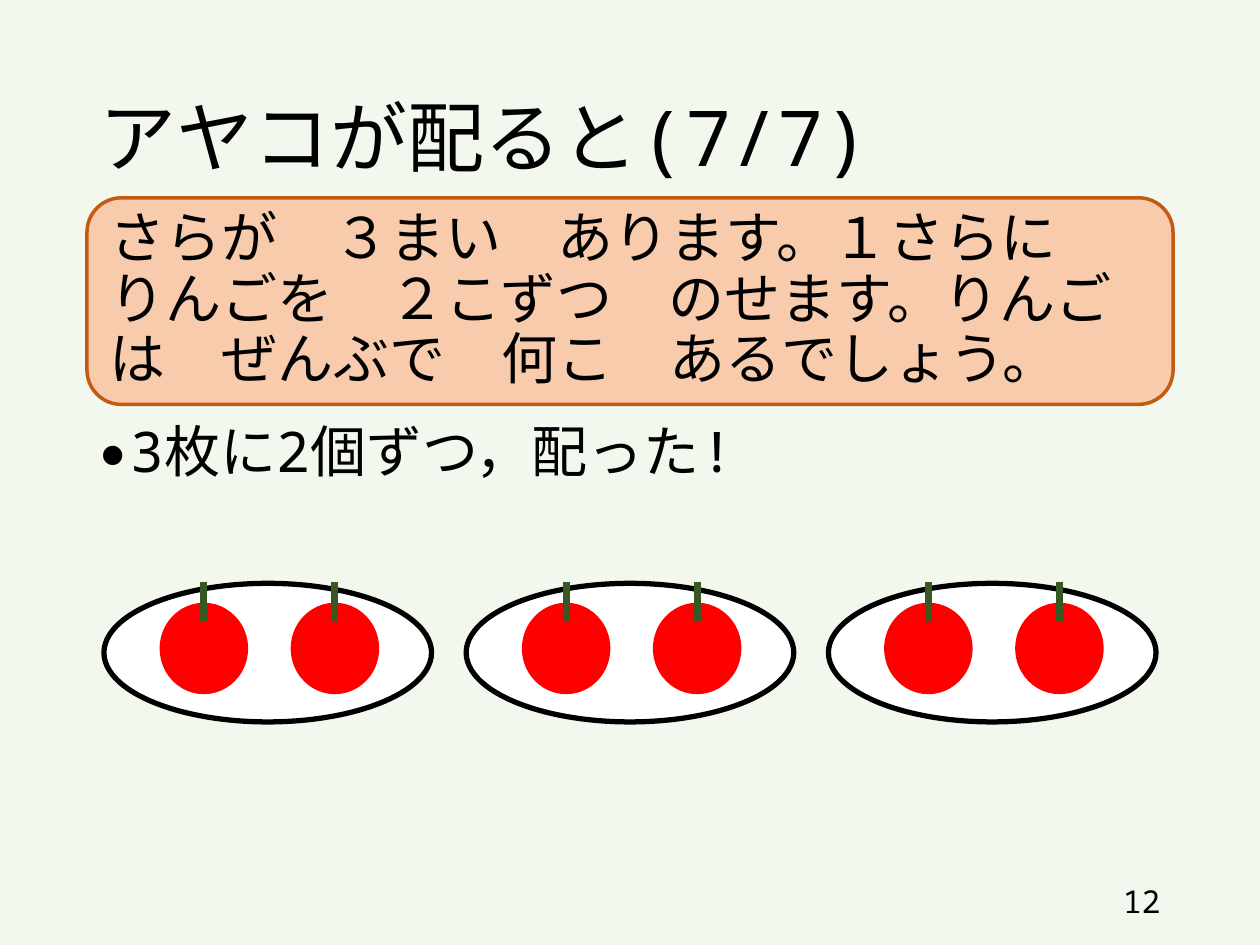
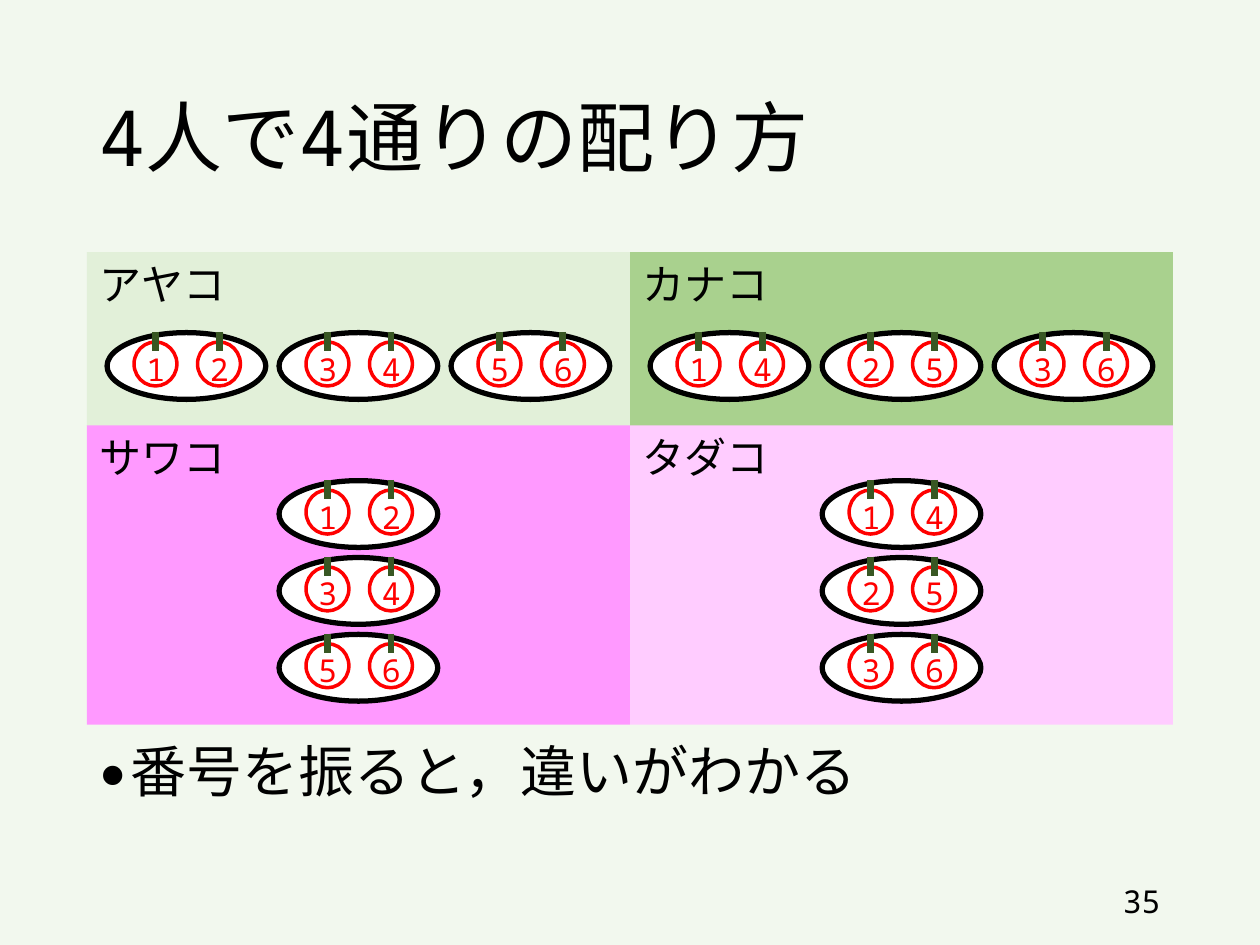
from dataclasses import dataclass

from lxml.etree import SubElement
from pptx import Presentation
from pptx.dml.color import RGBColor
from pptx.enum.shapes import MSO_CONNECTOR, MSO_SHAPE
from pptx.enum.text import MSO_ANCHOR, MSO_AUTO_SIZE, PP_ALIGN
from pptx.oxml.ns import qn
from pptx.util import Inches, Pt


@dataclass(frozen=True)
class Theme:
    font: str = "Noto Sans Mono"
    background: str = "F2F8EE"
    ink: str = "000000"
    plate: str = "FFFFFF"
    apple: str = "FF0000"
    stem: str = "385723"
    problem_fill: str = "F8CBAD"
    problem_line: str = "C55A11"
    title: int = 44
    body: int = 32
    name: int = 24
    small: int = 18


@dataclass(frozen=True)
class Box:
    """A rectangle on a grid of 100 columns by 75 rows of square cells."""
    x: float
    y: float
    w: float
    h: float

    def inner(self, x, y, w, h):
        """Sub-box given as shares of this box."""
        return Box(self.x + x * self.w, self.y + y * self.h,
                   w * self.w, h * self.h)

    def emu(self):
        return [Inches(v / 10) for v in (self.x, self.y, self.w, self.h)]


THEME = Theme()
PAGE = Box(0, 0, 100, 75)
MARGIN = 6.9
CONTENT_W = PAGE.w - 2 * MARGIN
PLATES = 3
APPLES_PER_PLATE = 2


def band(top, height):
    """Full-width region between the side margins."""
    return Box(MARGIN, top, CONTENT_W, height)


def write(tf, text, size, color=THEME.ink, align=PP_ALIGN.LEFT,
          anchor=MSO_ANCHOR.TOP, wrap=True, spacing=None, before=0):
    tf.text = text
    tf.word_wrap = wrap
    tf.auto_size = MSO_AUTO_SIZE.NONE if wrap else MSO_AUTO_SIZE.SHAPE_TO_FIT_TEXT
    tf.vertical_anchor = anchor
    p = tf.paragraphs[0]
    p.alignment = align
    p.space_before = Pt(before)
    if spacing:
        p.line_spacing = spacing
    r = p.runs[0]
    r.font.size = Pt(size)
    r.font.color.rgb = RGBColor.from_string(color)
    r.font.name = THEME.font
    SubElement(r._r.get_or_add_rPr(), qn("a:ea"), typeface=THEME.font)
    return p


def add_text(shapes, box, text, size, **style):
    tb = shapes.add_textbox(*box.emu())
    return write(tb.text_frame, text, size, **style)


def add_preset(shapes, kind, box, fill=None, line=None, width=0):
    sp = shapes.add_shape(kind, *box.emu())
    sp.shadow.inherit = False
    if fill:
        sp.fill.solid()
        sp.fill.fore_color.rgb = RGBColor.from_string(fill)
    else:
        sp.fill.background()
    if line:
        sp.line.color.rgb = RGBColor.from_string(line)
        sp.line.width = Pt(width)
    else:
        sp.line.fill.background()
    return sp


def add_stem(shapes, x, top, bottom):
    stem = shapes.add_connector(
        MSO_CONNECTOR.STRAIGHT, *[Inches(v / 10) for v in (x, top, x, bottom)])
    stem.line.color.rgb = RGBColor.from_string(THEME.stem)
    stem.line.width = Pt(4)
    SubElement(stem._element.spPr, qn("a:effectLst"))


def add_apple(shapes, box, number=None):
    """Solid apple, or an outlined one when it carries a number."""
    group = shapes.add_group_shape().shapes
    if number:
        add_preset(group, MSO_SHAPE.OVAL, box, line=THEME.apple, width=2)
    else:
        add_preset(group, MSO_SHAPE.OVAL, box, fill=THEME.apple)
    add_stem(group, box.x + box.w / 2, box.y - 0.23 * box.h, box.y + 0.2 * box.h)
    if number:
        add_text(group, box.inner(0, 0.03, 1, 1.14), number, THEME.small,
                 color=THEME.apple, align=PP_ALIGN.CENTER, wrap=False)


def add_plate(shapes, box, numbers=None):
    add_preset(shapes, MSO_SHAPE.OVAL, box, THEME.plate, THEME.ink, 3)
    for i in range(APPLES_PER_PLATE):
        add_apple(shapes, box.inner(0.17 + 0.4 * i, 0.14, 0.27, 0.66),
                  numbers[i] if numbers else None)


def add_plates(shapes, box, size, gap, top, numbers=None, stacked=False):
    """Centre the plates in the box, side by side or stacked."""
    w, h = size
    columns = 1 if stacked else PLATES
    left = box.x + (box.w - columns * w - (columns - 1) * gap) / 2
    for i in range(PLATES):
        dx, dy = (0, i * (h + gap)) if stacked else (i * (w + gap), 0)
        add_plate(shapes, Box(left + dx, box.y + top + dy, w, h),
                  numbers[i] if numbers else None)


def add_panel(shapes, box, name, fill, numbers, stacked):
    add_preset(shapes, MSO_SHAPE.RECTANGLE, box, fill)
    add_text(shapes, Box(box.x, box.y, 12.1, 5), name, THEME.name, wrap=False)
    add_plates(shapes, box, (12.6, 5.3), 0.8 if stacked else 1.05,
               4.4 if stacked else 6.4, numbers, stacked)


def add_bullet(shapes, box, text):
    p = add_text(shapes, box, text, THEME.body, spacing=0.9, before=10)
    pPr = p._p.get_or_add_pPr()
    pPr.set("marL", str(Inches(0.25)))
    pPr.set("indent", str(-Inches(0.25)))
    SubElement(pPr, qn("a:buSzPct"), val="80000")
    SubElement(pPr, qn("a:buFont"), typeface=THEME.font)
    SubElement(pPr, qn("a:buChar"), char="●")


def add_problem(shapes, box, text):
    sp = add_preset(shapes, MSO_SHAPE.ROUNDED_RECTANGLE, box,
                    THEME.problem_fill, THEME.problem_line, 2)
    write(sp.text_frame, text, THEME.body, anchor=MSO_ANCHOR.MIDDLE,
          spacing=0.9, before=10)


def new_slide(prs, title, number):
    """Title-only slide with its title and page number."""
    s = prs.slides.add_slide(prs.slide_layouts[5])
    sp = s.shapes.title
    sp.left, sp.top, sp.width, sp.height = band(4, 14.5).emu()
    write(sp.text_frame, title, THEME.title, anchor=MSO_ANCHOR.MIDDLE, spacing=0.9)
    add_text(s.shapes, Box(PAGE.w - MARGIN - 22.5, 69.5, 22.5, 4), number,
             THEME.small, align=PP_ALIGN.RIGHT, anchor=MSO_ANCHOR.MIDDLE)
    return s


def problem_slide(prs):
    shapes = new_slide(prs, "アヤコが配ると(7/7)", "12").shapes
    add_problem(shapes, band(15.7, 16.4),
                "さらが　３まい　あります。１さらに　りんごを　２こずつ　"
                "のせます。りんごは　ぜんぶで　何こ　あるでしょう。")
    body = band(33.2, 34.3)
    add_bullet(shapes, body, "3枚に2個ずつ，配った!")
    add_plates(shapes, body, (26, 11), 2.75, 13.1)


def comparison_slide(prs):
    shapes = new_slide(prs, "4人で4通りの配り方", "35").shapes
    in_order = ["12", "34", "56"]
    in_turn = ["14", "25", "36"]
    rows = [
        (band(20, 13.8), False, [("アヤコ", "E2F0D9", in_order),
                                 ("カナコ", "A9D18E", in_turn)]),
        (band(33.75, 23.75), True, [("サワコ", "FF99FF", in_order),
                                    ("タダコ", "FFCCFF", in_turn)]),
    ]
    for row, stacked, panels in rows:
        for i, (name, fill, numbers) in enumerate(panels):
            add_panel(shapes, row.inner(i / 2, 0, 1 / 2, 1), name, fill,
                      numbers, stacked)
    add_bullet(shapes, band(58.6, 10), "番号を振ると，違いがわかる")


def main():
    prs = Presentation()
    prs.slide_width, prs.slide_height = PAGE.emu()[2:]
    fill = prs.slide_master.background.fill
    fill.solid()
    fill.fore_color.rgb = RGBColor.from_string(THEME.background)
    problem_slide(prs)
    comparison_slide(prs)
    prs.save("out.pptx")


if __name__ == "__main__":
    main()
